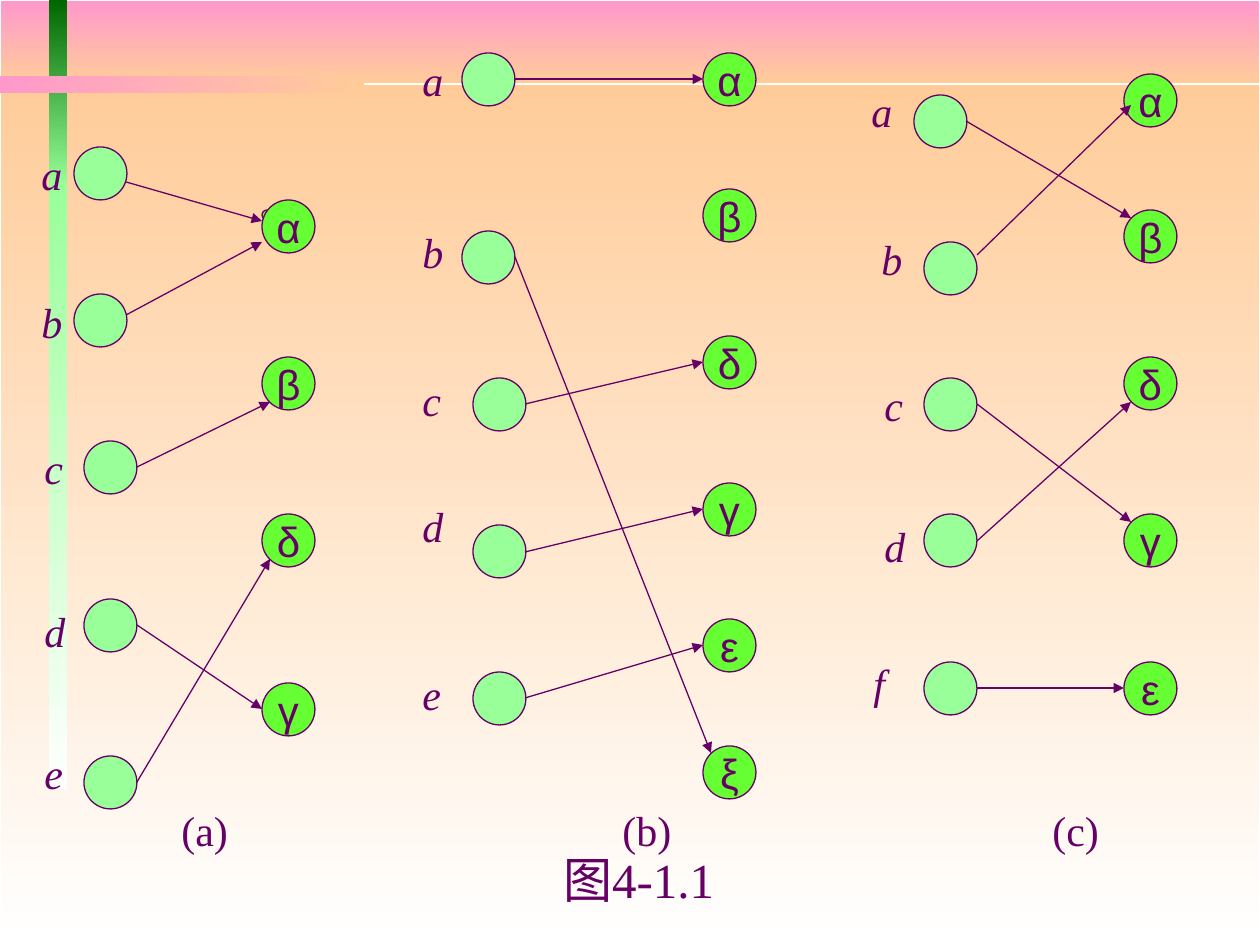
from lxml import etree
from pptx import Presentation
from pptx.dml.color import RGBColor
from pptx.enum.shapes import MSO_CONNECTOR, MSO_SHAPE
from pptx.enum.text import MSO_ANCHOR, PP_ALIGN
from pptx.oxml.ns import qn
from pptx.util import Emu, Pt

OVAL, RECTANGLE = MSO_SHAPE.OVAL, MSO_SHAPE.RECTANGLE
STRAIGHT = MSO_CONNECTOR.STRAIGHT
MIDDLE, CENTER, LEFT = MSO_ANCHOR.MIDDLE, PP_ALIGN.CENTER, PP_ALIGN.LEFT
PX_PER_INCH = 126
NODE = 53
DOWN, ACROSS = 270, 0
SERIF, SANS = "Times New Roman", "Arial"

COLORS = {
    "ink": "660066",
    "source": "99FF99",
    "target": "66FF33",
    "pink": "FF99CC",
    "peach": "FFCC99",
    "forest": "006600",
    "mint": "99FF99",
    "white": "FFFFFF",
}

BANDS = [
    ((0, 0, 1260, 84), "pink", "peach", DOWN, True),
    ((0, 84, 1260, 861), "peach", "white", DOWN, True),
    ((49, 0, 18, 186), "forest", "mint", DOWN, False),
    ((49, 184, 18, 606), "mint", "white", DOWN, False),
    ((0, 76, 364, 17), "pink", "peach", ACROSS, False),
]

PANELS = [
    {
        "caption": ("(b)", 610),
        "sources": [(462, 53), (462, 231), (473, 378), (473, 525), (473, 672)],
        "target_x": 703,
        "targets": [("α", 53), ("β", 189), ("δ", 336), ("γ", 483), ("ε", 619), ("ξ", 746)],
        "arrows": [(515, 79, 703, 79), (515, 257, 711, 753), (525, 552, 703, 509),
                   (525, 404, 703, 362), (525, 698, 703, 645)],
        "labels": [("a", 410, 48), ("b", 410, 220), ("c", 410, 368),
                   ("d", 410, 494), ("e", 410, 662)],
    },
    {
        "caption": ("(c)", 1040),
        "sources": [(914, 95), (924, 242), (924, 378), (924, 514), (924, 662)],
        "target_x": 1124,
        "targets": [("α", 74), ("β", 210), ("δ", 357), ("γ", 514), ("ε", 662)],
        "arrows": [(966, 121, 1131, 218), (977, 255, 1131, 105), (977, 404, 1131, 522),
                   (977, 541, 1131, 402), (977, 688, 1124, 688)],
        "labels": [("a", 859, 79), ("b", 869, 227), ("c", 872, 373),
                   ("d", 872, 514), ("f", 861, 651)],
    },
    {
        "caption": ("(a)", 169),
        "dot": (262, 210),
        "sources": [(74, 147), (74, 294), (84, 441), (84, 599), (84, 756)],
        "target_x": 262,
        "targets": [("α", 200), ("β", 357), ("δ", 514), ("γ", 683)],
        "arrows": [(126, 182, 262, 221), (126, 315, 262, 242), (137, 467, 270, 402),
                   (137, 625, 262, 709), (137, 782, 270, 559)],
        "labels": [("a", 29, 142), ("b", 29, 290), ("c", 32, 436),
                   ("d", 32, 599), ("e", 32, 741)],
    },
]


def px(*lengths):
    """Turn pixel lengths into a list of EMU lengths."""
    return [Emu(round(length * 914400 / PX_PER_INCH)) for length in lengths]


def color(name):
    """Look up a named colour."""
    return RGBColor.from_string(COLORS[name])


def set_line(line, name):
    """Give a line its colour and the common width."""
    line.color.rgb = color(name)
    line.width = Pt(0.75)


def write(frame, text, size, font, italic=False, align=LEFT):
    """Write one unwrapped line of text into a frame."""
    frame.word_wrap = False
    para = frame.paragraphs[0]
    para.alignment = align
    span = para.add_run()
    span.text = text
    span.font.size = Pt(size)
    span.font.name = font
    span.font.italic = italic
    span.font.color.rgb = color("ink")


def add_band(shapes, place, start, end, angle, outlined):
    """Add a rectangle with a two-colour gradient."""
    band = shapes.add_shape(RECTANGLE, *px(*place))
    band.shadow.inherit = False
    band.fill.gradient()
    band.fill.gradient_angle = angle
    stops = band.fill.gradient_stops
    for position, name in enumerate((start, end)):
        stops[position].color.rgb = color(name)
        stops[position].position = position
    if outlined:
        set_line(band.line, "white")
    else:
        band.line.fill.background()


def add_node(shapes, left, top, fill, letter=None, size=NODE):
    """Add a circle, with a letter in it if one is given."""
    node = shapes.add_shape(OVAL, *px(left, top, size, size))
    node.shadow.inherit = False
    node.fill.solid()
    node.fill.fore_color.rgb = color(fill)
    set_line(node.line, "ink")
    if letter:
        node.text_frame.vertical_anchor = MIDDLE
        write(node.text_frame, letter, 24, SANS, align=CENTER)


def add_arrow(shapes, ends):
    """Add a straight line with a triangle at its end."""
    arrow = shapes.add_connector(STRAIGHT, *px(*ends))
    set_line(arrow.line, "ink")
    properties = arrow.element.spPr
    etree.SubElement(properties.find(qn("a:ln")), qn("a:tailEnd"), type="triangle")
    etree.SubElement(properties, qn("a:effectLst"))


def add_text(shapes, place, text, size=24, italic=False):
    """Add a text box with one line of serif text."""
    box = shapes.add_textbox(*px(*place))
    write(box.text_frame, text, size, SERIF, italic)


def add_panel(slide, panel):
    """Add one mapping diagram as a group."""
    shapes = slide.shapes.add_group_shape().shapes
    if "dot" in panel:
        add_node(shapes, *panel["dot"], "target", size=10)
    for left, top in panel["sources"]:
        add_node(shapes, left, top, "source")
    for letter, top in panel["targets"]:
        add_node(shapes, panel["target_x"], top, "target", letter)
    for ends in panel["arrows"]:
        add_arrow(shapes, ends)
    for letter, left, top in panel["labels"]:
        add_text(shapes, (left, top, 50, 63), letter, italic=True)
    caption, left = panel["caption"]
    add_text(shapes, (left, 798, 84, 63), caption)


def main():
    """Build the deck and save it."""
    deck = Presentation()
    deck.slide_width, deck.slide_height = px(1260, 945)
    slide = deck.slides.add_slide(deck.slide_layouts[6])
    backdrop = slide.shapes.add_group_shape().shapes
    for band in BANDS:
        add_band(backdrop, *band)
    for panel in PANELS:
        add_panel(slide, panel)
    add_text(slide.shapes, (551, 843, 188, 72), "图4-1.1", size=28)
    deck.save("out.pptx")


if __name__ == "__main__":
    main()
